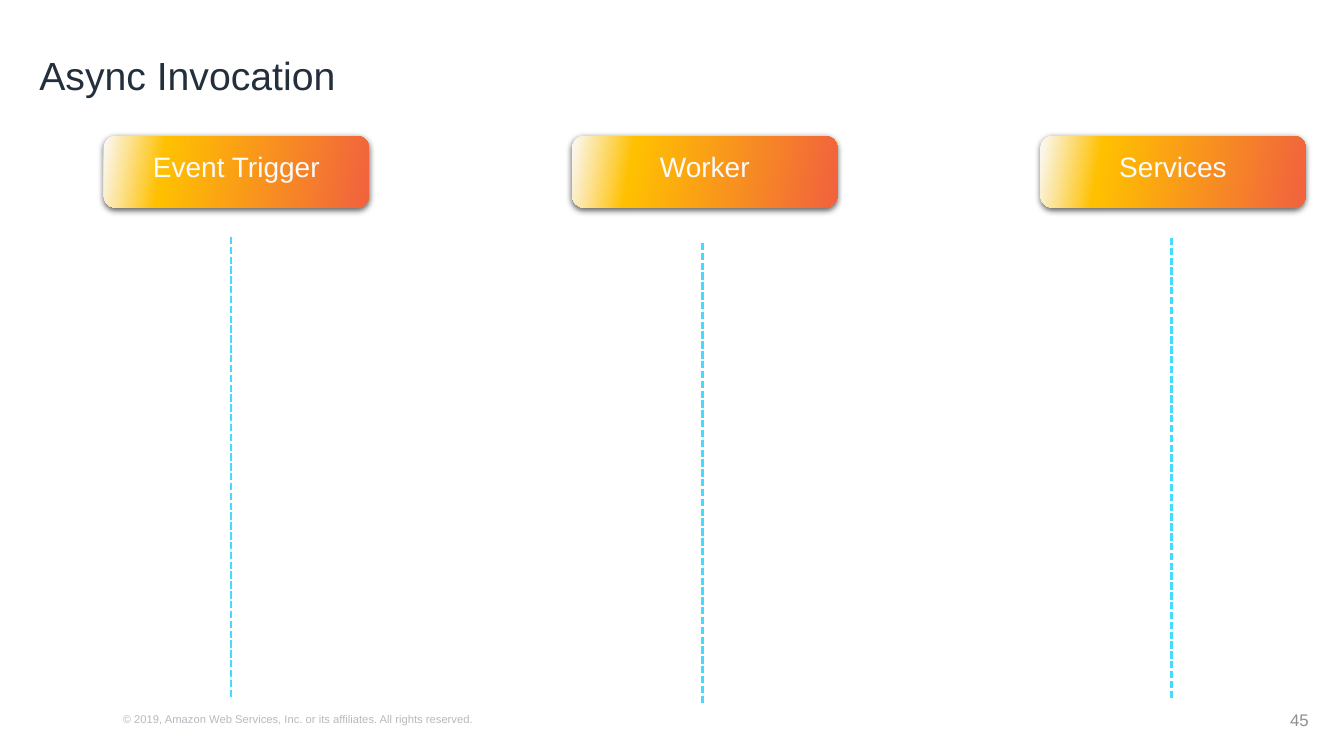
from copy import deepcopy
from dataclasses import dataclass

from lxml import etree
from pptx import Presentation
from pptx.dml.color import RGBColor
from pptx.enum.dml import MSO_LINE
from pptx.enum.shapes import MSO_CONNECTOR, MSO_SHAPE
from pptx.enum.text import MSO_ANCHOR, PP_ALIGN
from pptx.oxml import parse_xml
from pptx.oxml.ns import nsdecls, qn
from pptx.util import Inches, Pt

DASH = MSO_LINE.SQUARE_DOT
STRAIGHT = MSO_CONNECTOR.STRAIGHT
ROUND = MSO_SHAPE.ROUNDED_RECTANGLE
TOP, MIDDLE = MSO_ANCHOR.TOP, MSO_ANCHOR.MIDDLE
LEFT, CENTER, RIGHT = PP_ALIGN.LEFT, PP_ALIGN.CENTER, PP_ALIGN.RIGHT

FONT = "Arial"
COLORS = {
    "title": "232F3D",
    "legal": "B6BABF",
    "number": "8D8F92",
    "light": "FAFAFA",
    "amber": "FFC000",
    "coral": "F1623E",
    "line": "45DAFF",
}
FADE = [(0, "light"), (0.23, "amber"), (1, "coral")]
SHADOW = (
    f'<a:outerShdw {nsdecls("a")} blurRad="57150" dist="19050" dir="5400000" '
    'algn="ctr" rotWithShape="0"><a:srgbClr val="000000">'
    '<a:alpha val="63000"/></a:srgbClr></a:outerShdw>'
)
BOX_LEFT, BOX_STEP = 1.03, 4.645
LINE_SPAN = 4.575


@dataclass
class Lane:
    """One role in the sequence, with its lifeline."""

    name: str
    line_x: float
    line_top: float


LANES = [
    Lane("Event Trigger", 2.29, 2.35),
    Lane("Worker", 6.97, 2.41),
    Lane("Services", 11.62, 2.36),
]


def color(name: str) -> RGBColor:
    """Look up a named colour."""
    return RGBColor.from_string(COLORS[name])


def write(shape, text: str, *, size: float, tint: str, align=LEFT, anchor=TOP, spacing=None) -> None:
    """Put formatted text in a shape."""
    frame = shape.text_frame
    frame.word_wrap = True
    frame.vertical_anchor = anchor
    frame.text = text
    para = frame.paragraphs[0]
    para.alignment = align
    para.line_spacing = spacing
    para.font.name = FONT
    para.font.size = Pt(size)
    para.font.color.rgb = color(tint)


def place(shape, left: float, top: float, width: float, height: float) -> None:
    """Set the bounds of a shape in inches."""
    shape.left, shape.top = Inches(left), Inches(top)
    shape.width, shape.height = Inches(width), Inches(height)


def add_label(slide, bounds: tuple[float, float, float, float], text: str, **style) -> None:
    """Add a text box."""
    label = slide.shapes.add_textbox(*map(Inches, bounds))
    write(label, text, **style)


def add_box(slide, left: float, name: str) -> None:
    """Add a shaded role box."""
    box = slide.shapes.add_shape(ROUND, *map(Inches, (left, 1.35, 2.63, 0.71)))
    box.line.fill.background()
    box.fill.gradient()
    box.fill.gradient_angle = 350
    stops = box.fill.gradient_stops
    stop_list = box._element.spPr.find(".//" + qn("a:gsLst"))
    while len(stop_list) < len(FADE):
        stop_list.append(deepcopy(stop_list[-1]))
    stops = box.fill.gradient_stops
    for stop, (point, tint) in zip(stops, FADE):
        stop.position = point
        stop.color.rgb = color(tint)
    box.shadow.inherit = False
    box._element.spPr.find(qn("a:effectLst")).append(parse_xml(SHADOW))
    box.text_frame.margin_top = Inches(0.1)
    write(box, name, size=20, tint="light", align=CENTER)


def add_line(slide, x: float, top: float) -> None:
    """Add a dashed lifeline."""
    ends = map(Inches, (x, top, x, top + LINE_SPAN))
    line = slide.shapes.add_connector(STRAIGHT, *ends)
    line.line.color.rgb = color("line")
    line.line.width = Pt(1.75)
    line.line.dash_style = DASH
    etree.SubElement(line._element.spPr, qn("a:effectLst"))


def main() -> None:
    """Build and save the slide."""
    deck = Presentation()
    deck.slide_width, deck.slide_height = Inches(13.33), Inches(7.5)
    slide = deck.slides.add_slide(deck.slide_layouts[5])
    title = slide.shapes.title
    place(title, 0.29, 0.45, 12.79, 0.65)
    write(title, "Async Invocation", size=28, tint="title", anchor=MIDDLE, spacing=0.9)
    legal = "© 2019, Amazon Web Services, Inc. or its affiliates. All rights reserved."
    add_label(slide, (1.12, 7.02, 8.34, 0.24), legal, size=8, tint="legal")
    add_label(slide, (10.08, 6.94, 3, 0.4), "45", size=12, tint="number", align=RIGHT, anchor=MIDDLE)
    for index, lane in enumerate(LANES):
        add_box(slide, BOX_LEFT + index * BOX_STEP, lane.name)
        add_line(slide, lane.line_x, lane.line_top)
    deck.save("out.pptx")


if __name__ == "__main__":
    main()
